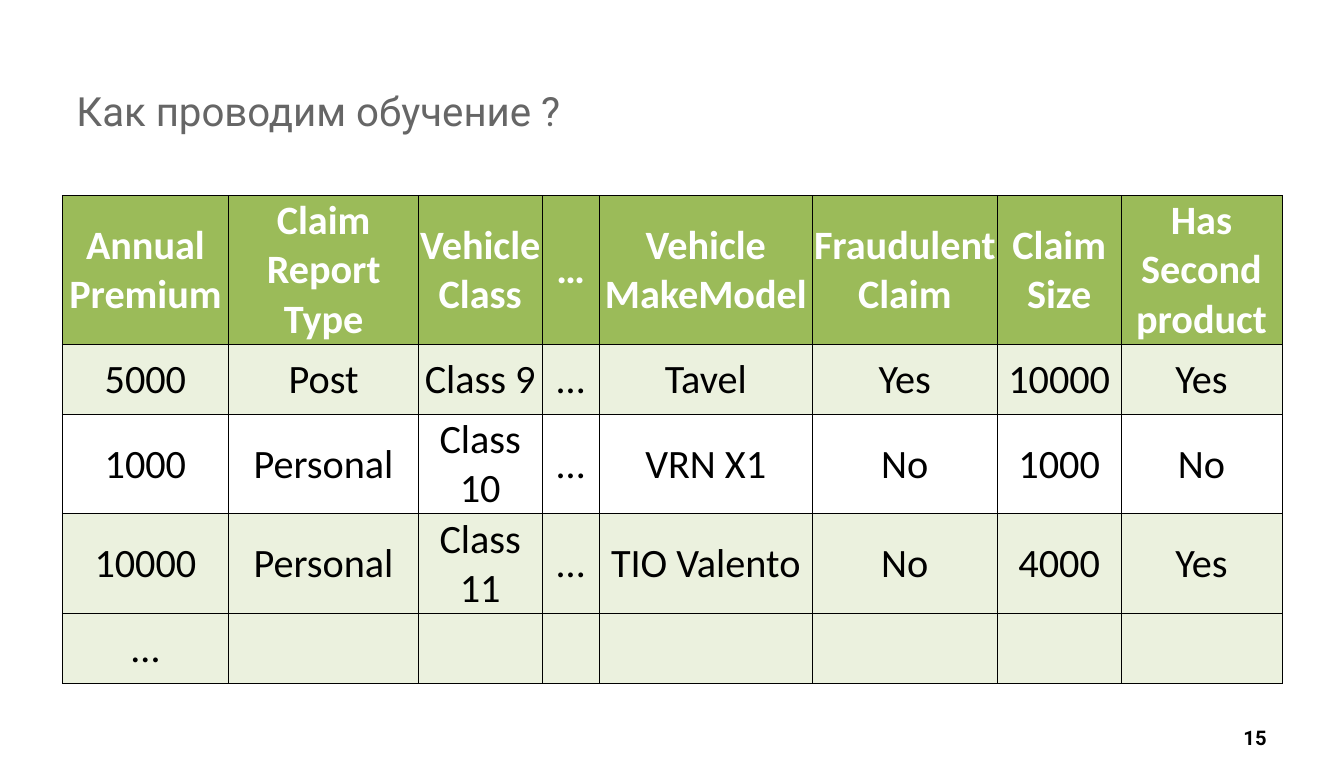
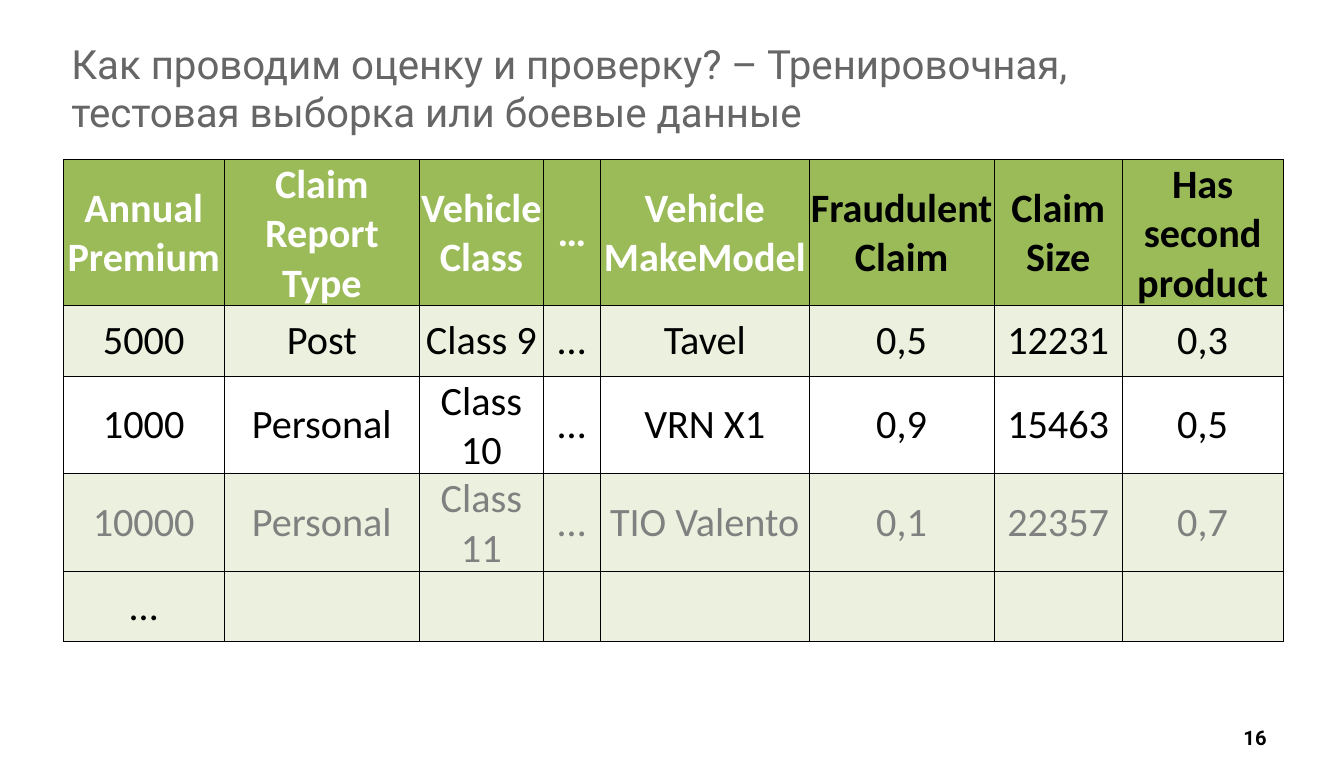
from dataclasses import dataclass

from lxml import etree
from pptx import Presentation
from pptx.dml.color import RGBColor
from pptx.enum.text import MSO_ANCHOR, MSO_AUTO_SIZE, PP_ALIGN
from pptx.oxml.ns import qn
from pptx.util import Pt

LEFT, CENTER, RIGHT = PP_ALIGN.LEFT, PP_ALIGN.CENTER, PP_ALIGN.RIGHT
TOP, MIDDLE = MSO_ANCHOR.TOP, MSO_ANCHOR.MIDDLE
NO_AUTOFIT = MSO_AUTO_SIZE.NONE
TITLE_ONLY = 5


@dataclass(frozen=True)
class Theme:
    title_font: str = "Roboto"
    table_font: str = "Calibri"
    text_size: float = 28
    number_size: float = 14
    border_width: float = 0.5
    cell_inset: float = 0.72
    title_color: str = "666666"
    white: str = "FFFFFF"
    black: str = "000000"
    muted: str = "808080"
    header_fill: str = "9BBB59"
    band_fill: str = "EBF1DE"


THEME = Theme()
HEADER_HEIGHT = 98.6
ROW_HEIGHT = 49

FEATURE_HEADERS = ["Annual Premium", "Claim Report Type", "Vehicle Class", "…", "Vehicle MakeModel"]
FEATURE_ROWS = [
    ["5000", "Post", "Class 9", "…", "Tavel"],
    ["1000", "Personal", "Class 10", "…", "VRN X1"],
    ["10000", "Personal", "Class 11", "…", "TIO Valento"],
]


def write_text(frame, text, *, font, size, color, bold=False, align=LEFT, anchor=MIDDLE):
    frame.word_wrap = True
    frame.vertical_anchor = anchor
    for index, line in enumerate(text.split("\n")):
        paragraph = frame.paragraphs[0] if index == 0 else frame.add_paragraph()
        paragraph.alignment = align
        run = paragraph.add_run()
        run.text = line
        run.font.name = font
        run.font.size = Pt(size)
        run.font.bold = bold
        run.font.color.rgb = RGBColor.from_string(color)


def add_title(slide, text, left, top, width):
    title = slide.shapes.title
    title.left, title.top, title.width, title.height = Pt(left), Pt(top), Pt(width), Pt(45.4)
    frame = title.text_frame
    frame.auto_size = NO_AUTOFIT
    frame.margin_top = Pt(5)
    write_text(frame, text, font=THEME.title_font, size=THEME.text_size,
               color=THEME.title_color, anchor=TOP)


def add_slide_number(slide, number):
    box = slide.shapes.add_textbox(Pt(670.3), Pt(499), Pt(218.2), Pt(28.8))
    write_text(box.text_frame, str(number), font=THEME.title_font, size=THEME.number_size,
               color=THEME.black, bold=True, align=RIGHT)


def set_borders(cell):
    properties = cell._tc.get_or_add_tcPr()
    for side in ("a:lnL", "a:lnR", "a:lnT", "a:lnB"):
        line = etree.SubElement(properties, qn(side), w=str(Pt(THEME.border_width)))
        fill = etree.SubElement(line, qn("a:solidFill"))
        etree.SubElement(fill, qn("a:srgbClr"), val=THEME.black)


def format_cell(cell, text, fill, color, bold):
    set_borders(cell)
    cell.fill.solid()
    cell.fill.fore_color.rgb = RGBColor.from_string(fill)
    cell.margin_left = cell.margin_right = cell.margin_top = Pt(THEME.cell_inset)
    cell.margin_bottom = 0
    cell.vertical_anchor = MIDDLE
    if text:
        write_text(cell.text_frame, text, font=THEME.table_font, size=THEME.text_size,
                   color=color, bold=bold, align=CENTER)


def add_claims_table(slide, left, top, widths, target_headers, target_rows,
                     target_color=THEME.white, last_row_color=THEME.black):
    rows = [FEATURE_HEADERS + target_headers]
    rows += [features + targets for features, targets in zip(FEATURE_ROWS, target_rows)]
    rows.append(["…"] + [""] * (len(widths) - 1))
    fills = [THEME.header_fill, THEME.band_fill, THEME.white, THEME.band_fill, THEME.band_fill]
    colors = [THEME.white, THEME.black, THEME.black, last_row_color, THEME.black]
    heights = [HEADER_HEIGHT] + [ROW_HEIGHT] * (len(rows) - 1)

    table = slide.shapes.add_table(len(rows), len(widths), Pt(left), Pt(top),
                                   Pt(sum(widths)), Pt(sum(heights))).table
    table.first_row = table.horz_banding = False
    for column, width in zip(table.columns, widths):
        column.width = Pt(width)
    for row_index, texts in enumerate(rows):
        table.rows[row_index].height = Pt(heights[row_index])
        is_header = row_index == 0
        for column_index, text in enumerate(texts):
            is_target = column_index >= len(FEATURE_HEADERS)
            color = target_color if is_header and is_target else colors[row_index]
            format_cell(table.cell(row_index, column_index), text, fills[row_index], color, is_header)


def add_training_slide(presentation):
    slide = presentation.slides.add_slide(presentation.slide_layouts[TITLE_ONLY])
    add_title(slide, "Как проводим обучение ?", 46, 54.7, 675)
    add_claims_table(
        slide, 43.2, 136, [116, 132, 86, 40, 148, 129, 86, 112],
        ["Fraudulent Claim", "Claim\nSize", "Has Second product"],
        [["Yes", "10000", "Yes"], ["No", "1000", "No"], ["No", "4000", "Yes"]])
    add_slide_number(slide, 15)


def add_evaluation_slide(presentation):
    slide = presentation.slides.add_slide(presentation.slide_layouts[TITLE_ONLY])
    add_title(slide, "Как проводим оценку и проверку? – Тренировочная, "
                     "тестовая выборка или боевые данные", 42.5, 22.3, 820)
    add_slide_number(slide, 16)
    add_claims_table(
        slide, 44, 111, [112, 136, 86, 40, 145, 129, 89, 112],
        ["Fraudulent Claim", "Claim\nSize", "Has second product"],
        [["0,5", "12231", "0,3"], ["0,9", "15463", "0,5"], ["0,1", "22357", "0,7"]],
        target_color=THEME.black, last_row_color=THEME.muted)


def main():
    presentation = Presentation()
    presentation.slide_width = Pt(935.3)
    presentation.slide_height = Pt(538.6)
    add_training_slide(presentation)
    add_evaluation_slide(presentation)
    presentation.save("out.pptx")


if __name__ == "__main__":
    main()
